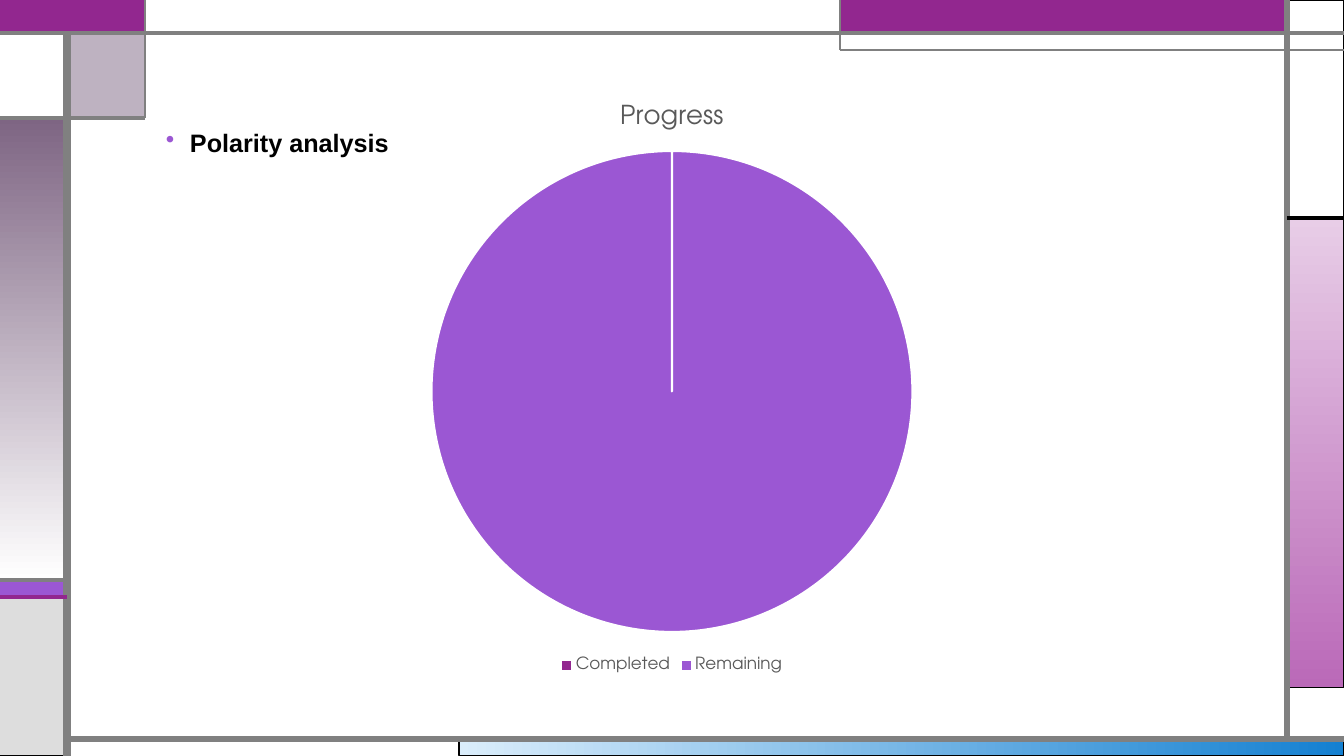
from lxml.etree import SubElement
from pptx import Presentation
from pptx.chart.data import CategoryChartData
from pptx.dml.color import RGBColor
from pptx.enum.chart import XL_CHART_TYPE, XL_LEGEND_POSITION
from pptx.enum.shapes import MSO_CONNECTOR, MSO_SHAPE
from pptx.oxml.ns import qn
from pptx.util import Emu, Pt

WIDTH, HEIGHT = 1344, 756
PURPLE, VIOLET, MAUVE = "92278F", "9B57D3", "7E6583"
GRAY, BLACK, WHITE, CAPTION = "808080", "000000", "FFFFFF", "595959"
CHART_FONT = "TeX Gyre Adventor"

LEFT, TAB, MIDDLE, RIGHT = 67, 145, 840, 1287
TOP, BOTTOM = 33, 739
CORNER, STRIPE, STRIPE_END, PANEL = 118, 580, 597, 218

# Each panel: left, top, right, bottom, fill colours, gradient angle, line colour, line width
PANELS = [
    (459, BOTTOM, WIDTH, HEIGHT, ("DAEDFB", "1480D1"), 0, BLACK, 0.75),
    (RIGHT, PANEL, WIDTH, 688, ("E8CDE7", "BA69B8"), 270, BLACK, 0.75),
    (0, STRIPE, LEFT, STRIPE_END, (VIOLET,), 0, BLACK, 0.75),
    (0, STRIPE_END, LEFT, HEIGHT, ("DDDDDD",), 0, BLACK, 0.75),
    (RIGHT, 0, WIDTH, PANEL, (WHITE,), 0, BLACK, 0.75),
    (MIDDLE, 0, RIGHT, TOP, (PURPLE,), 0, "755DD9", 0.75),
    (LEFT, TOP, TAB, CORNER, ("BEB2C1",), 0, BLACK, 0.75),
    (0, CORNER, LEFT, STRIPE, (MAUVE, WHITE), 270, BLACK, 0.75),
    (0, TOP, LEFT, CORNER, (WHITE,), 0, BLACK, 0.75),
    (0, 0, TAB, TOP, (PURPLE,), 0, PURPLE, 1.5),
    (TAB, 0, MIDDLE, TOP, (WHITE,), 0, GRAY, 0.75),
]
RULES = [
    (LEFT, HEIGHT, LEFT, TOP, GRAY, 6),
    (LEFT, BOTTOM, WIDTH, BOTTOM, GRAY, 4.5),
    (RIGHT, BOTTOM, RIGHT, 0, GRAY, 4.5),
    (0, TOP, WIDTH, TOP, GRAY, 3),
    (WIDTH, 50, MIDDLE, 50, GRAY, 1.5),
    (MIDDLE, 50, MIDDLE, 0, GRAY, 1.5),
    (RIGHT, PANEL, WIDTH, PANEL, BLACK, 2.25),
    (TAB, 0, TAB, CORNER, GRAY, 1.5),
    (TAB, CORNER, 0, CORNER, GRAY, 2.25),
    (LEFT, STRIPE, 0, STRIPE, GRAY, 2.25),
    (LEFT, STRIPE_END, 0, STRIPE_END, PURPLE, 2.25),
]
TOPIC = "Polarity analysis"
TOPIC_BOX = (166, 127, 300, 30)
PROGRESS_TITLE = "Progress"
PROGRESS = [("Completed", 0, PURPLE), ("Remaining", 100, VIOLET)]
PROGRESS_BOX = (224, 80, 896, 597)


def px(length):
    return Emu(round(length * 914400 / 100.8))


def color(value):
    return RGBColor.from_string(value)


def set_line(line, value, width):
    line.color.rgb = color(value)
    line.width = Pt(width)


def set_font(font, name, size, value, bold=False):
    font.name, font.size, font.bold = name, Pt(size), bold
    font.color.rgb = color(value)


def add_panel(shapes, left, top, right, bottom, fills, angle, edge, width):
    panel = shapes.add_shape(MSO_SHAPE.RECTANGLE, px(left), px(top),
                             px(right - left), px(bottom - top))
    panel.shadow.inherit = False
    if len(fills) == 1:
        panel.fill.solid()
        panel.fill.fore_color.rgb = color(fills[0])
    else:
        panel.fill.gradient()
        panel.fill.gradient_angle = angle
        for stop, value in zip(panel.fill.gradient_stops, fills):
            stop.color.rgb = color(value)
    set_line(panel.line, edge, width)


def add_rule(shapes, x1, y1, x2, y2, value, width):
    rule = shapes.add_connector(MSO_CONNECTOR.STRAIGHT, px(x1), px(y1), px(x2), px(y2))
    set_line(rule.line, value, width)
    SubElement(rule._element.spPr, qn("a:effectLst"))


def add_topic(shapes):
    frame = shapes.add_textbox(*map(px, TOPIC_BOX)).text_frame
    frame.word_wrap = True
    frame.margin_left = frame.margin_top = frame.margin_right = frame.margin_bottom = 0
    topic = frame.paragraphs[0]
    topic.text = TOPIC
    set_font(topic.font, "Arial", 18, BLACK, True)
    properties = topic._p.get_or_add_pPr()
    properties.set("marL", str(px(24)))
    properties.set("indent", str(px(-24)))
    bullet_color = properties.makeelement(qn("a:buClr"), {})
    SubElement(bullet_color, qn("a:srgbClr"), val=VIOLET)
    bullet = properties.makeelement(qn("a:buChar"), {"char": "•"})
    properties.insert(0, bullet_color)
    properties.insert(1, bullet)


def add_progress(shapes):
    progress = CategoryChartData()
    progress.categories = [name for name, _, _ in PROGRESS]
    progress.add_series(PROGRESS_TITLE, [share for _, share, _ in PROGRESS])
    pie = shapes.add_chart(XL_CHART_TYPE.PIE, *map(px, PROGRESS_BOX), progress).chart
    set_font(pie.font, CHART_FONT, 10, BLACK)
    pie.has_title = True
    title = pie.chart_title.text_frame
    title.text = PROGRESS_TITLE
    set_font(title.paragraphs[0].font, CHART_FONT, 18.6, CAPTION)
    pie.has_legend = True
    pie.legend.position = XL_LEGEND_POSITION.BOTTOM
    pie.legend.include_in_layout = False
    set_font(pie.legend.font, CHART_FONT, 12, CAPTION)
    plot = pie.plots[0]
    plot.vary_by_categories = True
    for index, (_, _, value) in enumerate(PROGRESS):
        wedge = plot.series[0].points[index].format
        wedge.fill.solid()
        wedge.fill.fore_color.rgb = color(value)
        set_line(wedge.line, WHITE, 1.5)


def main():
    deck = Presentation()
    deck.slide_width, deck.slide_height = px(WIDTH), px(HEIGHT)
    shapes = deck.slides.add_slide(deck.slide_layouts[6]).shapes
    for panel in PANELS:
        add_panel(shapes, *panel)
    for rule in RULES:
        add_rule(shapes, *rule)
    add_topic(shapes)
    add_progress(shapes)
    deck.save("out.pptx")


if __name__ == "__main__":
    main()
